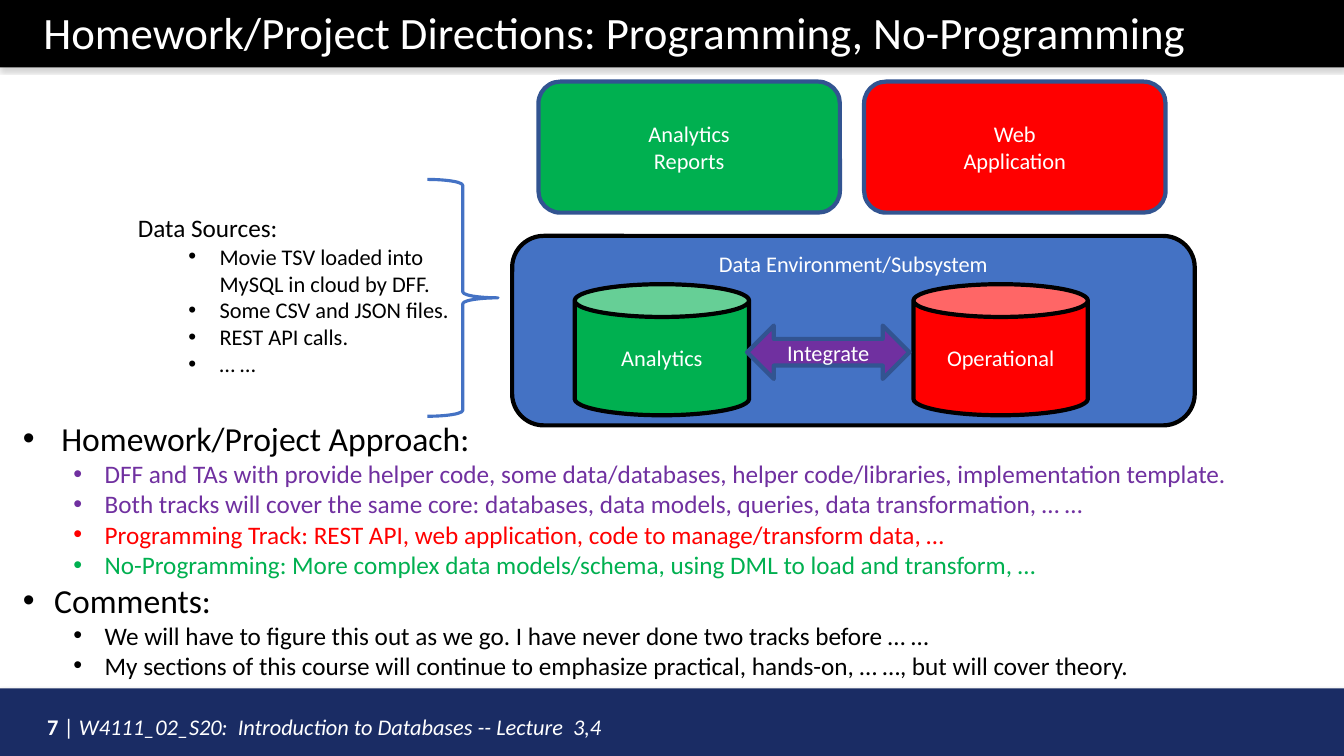
from lxml import etree
from pptx import Presentation
from pptx import util as u
from pptx.dml.color import RGBColor
from pptx.enum import shapes, text
from pptx.oxml.ns import qn

COLORS = {
    "white": "FFFFFF", "black": "000000", "navy": "1A2C64", "blue": "4472C4",
    "edge": "325491", "green": "00B050", "red": "FF0000", "purple": "7030A0",
    "shadow": "808080",
}
SHAPE = shapes.MSO_SHAPE
TOP, MIDDLE = text.MSO_ANCHOR.TOP, text.MSO_ANCHOR.MIDDLE
LEFT, CENTER = text.PP_ALIGN.LEFT, text.PP_ALIGN.CENTER


class SlideBuilder:
    font_name = "Calibri"

    def __init__(self, slide):
        self.slide = slide

    def rgb(self, color):
        return RGBColor.from_string(COLORS[color])

    def style(self, font, size, color, bold=False, italic=False):
        font.name, font.size = self.font_name, u.Pt(size)
        font.bold, font.italic = bold, italic
        font.color.rgb = self.rgb(color)

    def shape(self, kind, box, fill=None, line=None, width=3):
        shape = self.slide.shapes.add_shape(kind, *map(u.Inches, box))
        shape.shadow.inherit = False
        if fill:
            shape.fill.solid()
            shape.fill.fore_color.rgb = self.rgb(fill)
        else:
            shape.fill.background()
        if line:
            shape.line.color.rgb = self.rgb(line)
            shape.line.width = u.Pt(width)
        else:
            shape.line.fill.background()
        return shape

    def labelled(self, kind, box, label, fill, line, anchor=MIDDLE):
        frame = self.shape(kind, box, fill, line).text_frame
        frame.vertical_anchor = anchor
        paragraph = frame.paragraphs[0]
        paragraph.text = label
        paragraph.alignment = CENTER
        for run in paragraph.runs:
            self.style(run.font, 16, "white")

    def bar(self, top, fill):
        """Full-width band with a soft shadow below it."""
        shape = self.shape(SHAPE.RECTANGLE, (0, top, 13.33, 0.67), fill)
        effects = shape._element.spPr.find(qn("a:effectLst"))
        shadow = etree.SubElement(
            effects, qn("a:outerShdw"), blurRad=str(u.Pt(3.1)), dist=str(u.Pt(1.8)),
            dir="5400000", algn="ctr", rotWithShape="0")
        color = etree.SubElement(shadow, qn("a:srgbClr"), val=COLORS["shadow"])
        etree.SubElement(color, qn("a:alpha"), val="35000")

    def title(self, box, label):
        title = self.slide.shapes.title
        # The title must stand in front of its bar
        self.slide.shapes._spTree.append(title._element)
        title.left, title.top, title.width, title.height = map(u.Inches, box)
        frame = title.text_frame
        frame.text = label
        frame.vertical_anchor = TOP
        frame.auto_size = text.MSO_AUTO_SIZE.NONE
        frame.paragraphs[0].alignment = LEFT
        self.style(frame.paragraphs[0].runs[0].font, 32, "white")

    def text_frame(self, box, wrap=True):
        frame = self.slide.shapes.add_textbox(*map(u.Inches, box)).text_frame
        frame.word_wrap = wrap
        frame.auto_size = text.MSO_AUTO_SIZE.SHAPE_TO_FIT_TEXT
        return frame

    def bullet(self, paragraph, margin, hanging):
        properties = paragraph._p.get_or_add_pPr()
        properties.set("marL", str(u.Inches(margin)))
        properties.set("indent", str(-u.Inches(hanging)))
        etree.SubElement(properties, qn("a:buFont"), typeface="Arial")
        etree.SubElement(properties, qn("a:buChar"), char="•")

    def outline(self, box, items, wrap=True):
        """Items are (text, level, size, color, margin, hanging); margin 0 means no bullet."""
        frame = self.text_frame(box, wrap)
        for index, (label, level, size, color, margin, hanging) in enumerate(items):
            paragraph = frame.add_paragraph() if index else frame.paragraphs[0]
            paragraph.text = label
            paragraph.level = level
            if margin:
                self.bullet(paragraph, margin, hanging)
            for run in paragraph.runs:
                self.style(run.font, size, color)

    def footer(self, box, number, course):
        paragraph = self.text_frame(box).paragraphs[0]
        paragraph.line_spacing = u.Pt(32)
        for label, bold, italic in ((f"{number} ", True, False), ("| ", False, False),
                                    (course, False, True)):
            run = paragraph.add_run()
            run.text = label
            self.style(run.font, 16, "white", bold, italic)


def sub_item(label, size=18, color="black"):
    return label, 1, size, color, 0.81, 0.31


def main():
    presentation = Presentation()
    presentation.slide_width, presentation.slide_height = u.Inches(13.33), u.Inches(7.5)
    builder = SlideBuilder(presentation.slides.add_slide(presentation.slide_layouts[5]))

    builder.bar(0, "black")
    builder.title((0.33, 0, 12.31, 0.64),
                  "Homework/Project Directions: Programming, No-Programming")
    builder.bar(6.83, "navy")
    builder.footer((0.37, 6.85, 9.89, 0.5), 7,
                   "W4111_02_S20:  Introduction to Databases -- Lecture  3,4")

    builder.labelled(SHAPE.ROUNDED_RECTANGLE, (5.08, 2.34, 6.77, 1.88),
                     "Data Environment/Subsystem", "blue", "black", TOP)
    for left, label, fill in ((5.7, "Analytics", "green"), (9.06, "Operational", "red")):
        builder.labelled(SHAPE.CAN, (left, 2.82, 1.73, 1.3), label, fill, "black")

    sources = ["Movie TSV loaded into\nMySQL in cloud by DFF.",
               "Some CSV and JSON files.", "REST API calls.", "… …"]
    builder.outline((1.27, 2.06, 3.33, 1.75),
                    [("Data Sources:", 0, 18, "black", 0, 0)]
                    + [sub_item(source, 16) for source in sources], wrap=False)
    builder.shape(SHAPE.RIGHT_BRACE, (4.24, 1.78, 0.7, 2.35), line="blue", width=2.25)

    for left, label, fill in ((5.34, "Analytics\nReports", "green"),
                              (8.57, "Web\nApplication", "red")):
        builder.labelled(SHAPE.ROUNDED_RECTANGLE, (left, 0.81, 2.99, 1.3), label, fill, "edge")
    builder.labelled(SHAPE.LEFT_RIGHT_ARROW, (7.41, 3.23, 1.61, 0.53),
                     "Integrate", "purple", "edge")

    builder.outline((0.13, 4.1, 12.73, 3.3), [
        ("Homework/Project Approach:", 0, 24, "black", 0.38, 0.38),
        sub_item("DFF and TAs with provide helper code, some data/databases, "
                 "helper code/libraries, implementation template.", color="purple"),
        sub_item("Both tracks will cover the same core: databases, data models, "
                 "queries, data transformation, … …", color="purple"),
        sub_item("Programming Track: REST API, web application, "
                 "code to manage/transform data, …", color="red"),
        sub_item("No-Programming: More complex data models/schema, "
                 "using DML to load and transform, …", color="green"),
        ("Comments:", 0, 24, "black", 0.31, 0.31),
        sub_item("We will have to figure this out as we go. "
                 "I have never done two tracks before … …"),
        sub_item("My sections of this course will continue to emphasize practical, "
                 "hands-on, … …, but will cover theory."),
    ])
    presentation.save("out.pptx")


if __name__ == "__main__":
    main()
